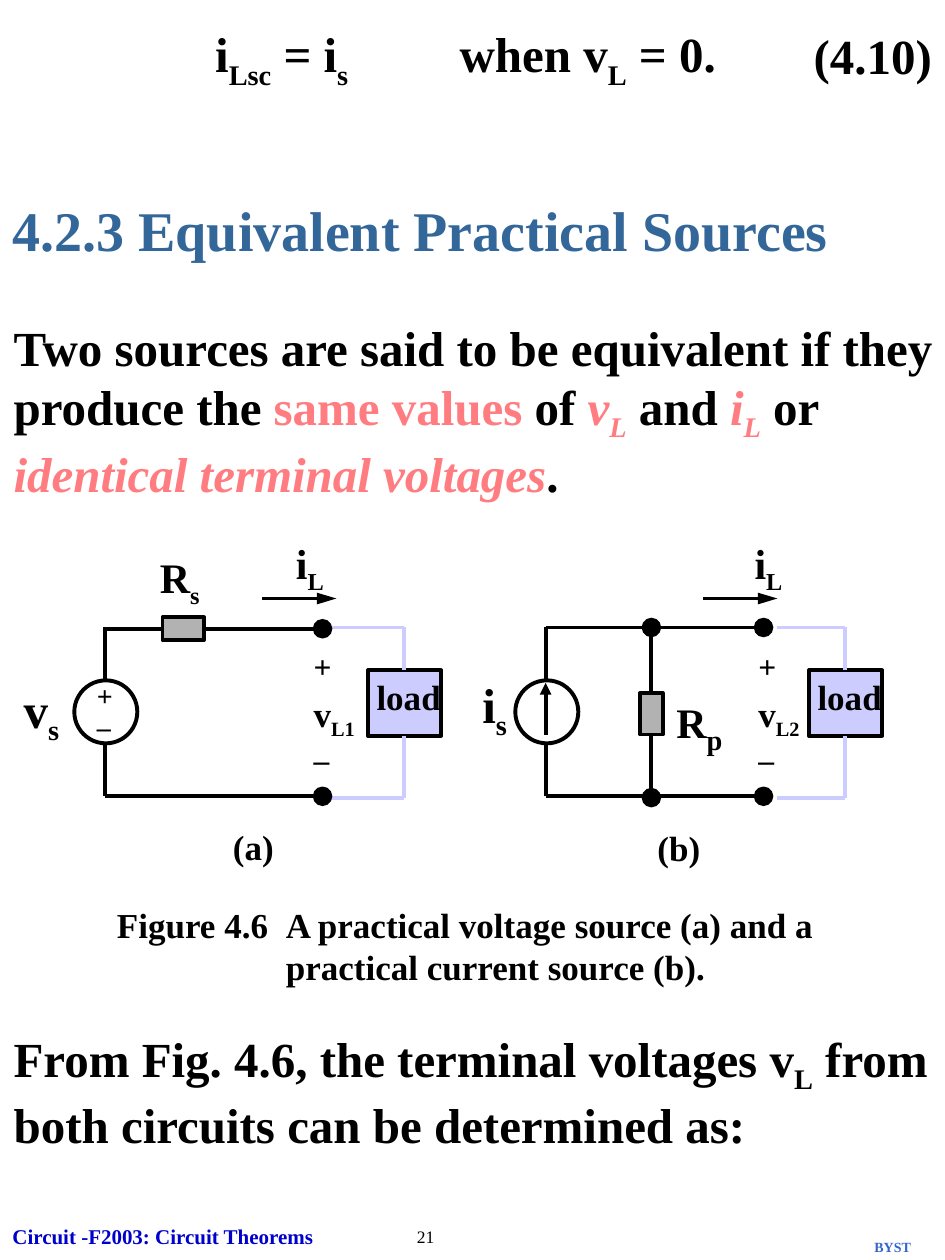
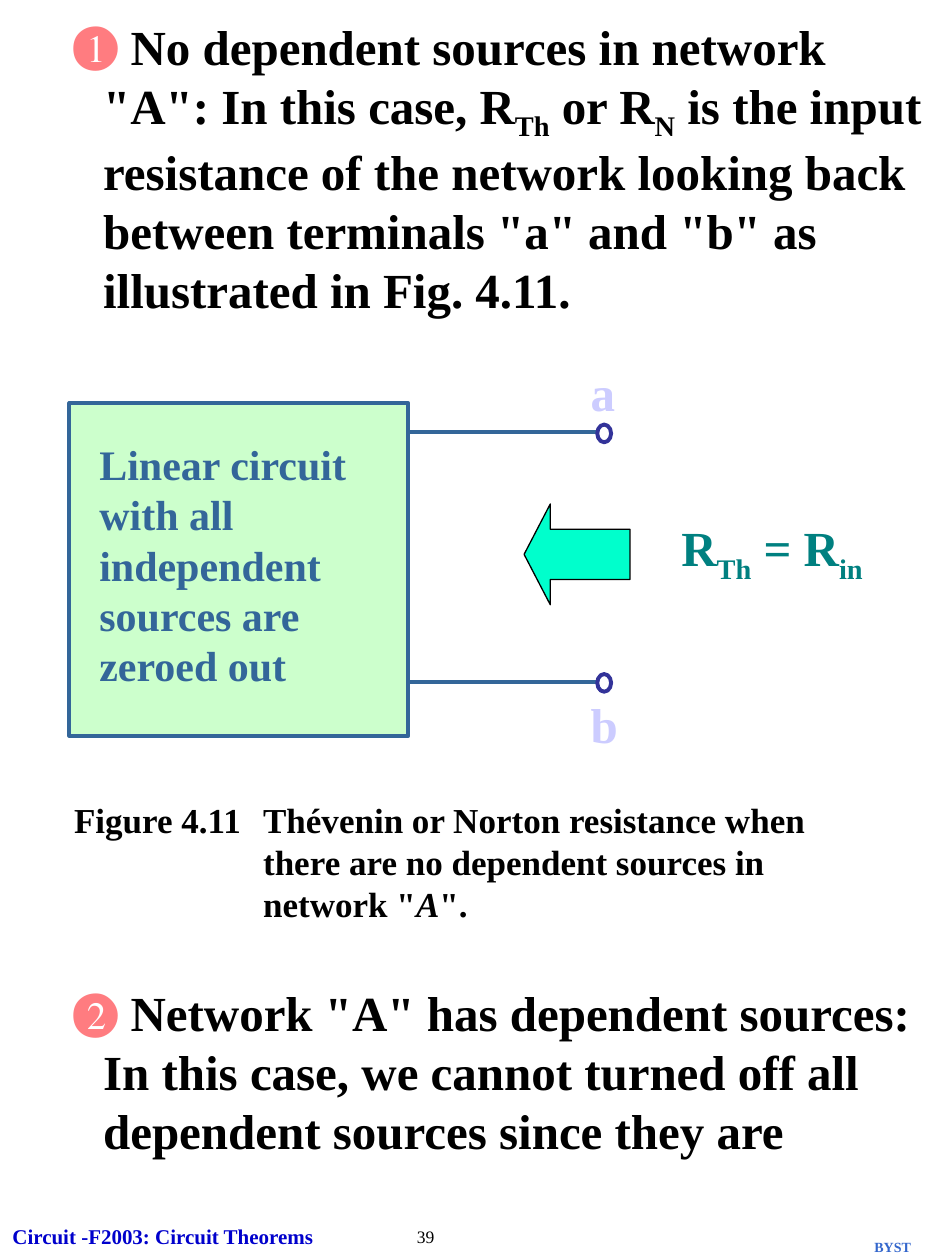
from lxml import etree
from pptx import Presentation
from pptx.dml.color import RGBColor
from pptx.enum.shapes import MSO_CONNECTOR, MSO_SHAPE
from pptx.enum.text import MSO_AUTO_SIZE, PP_ALIGN
from pptx.oxml.ns import qn
from pptx.util import Inches, Pt

RECTANGLE, OVAL, LEFT_ARROW = MSO_SHAPE.RECTANGLE, MSO_SHAPE.OVAL, MSO_SHAPE.LEFT_ARROW
STRAIGHT = MSO_CONNECTOR.STRAIGHT
FIT_SHAPE = MSO_AUTO_SIZE.SHAPE_TO_FIT_TEXT
LEFT = PP_ALIGN.LEFT
TOP_SIDE, LEFT_SIDE, BOTTOM_SIDE, RIGHT_SIDE = range(4)

FONT = "Times New Roman"
BLACK, GREY, BLUE, PALE = "000000", "B2B2B2", "336699", "CCCCFF"
CORAL, MINT, AQUA, TEAL, INDIGO = "FF7C80", "CCFFCC", "00FFCC", "008080", "333399"
FOOTER_BLUE, CREDIT_BLUE = "0000CC", "3366CC"


def color(value):
    return RGBColor.from_string(value)


def sub(text):
    return text, {"sub": True}


class Builder:
    """Holds the deck, the shared style and the current page."""

    def __init__(self):
        self.deck = Presentation()
        self.deck.slide_width, self.deck.slide_height = Inches(7.5), Inches(10)
        self.page = None

    def new_page(self, number):
        self.page = self.deck.slides.add_slide(self.deck.slide_layouts[6])
        self.label(6.84, 9.78, 0.55, 0.22, ["BYST"], 8, CREDIT_BLUE)
        self.text(0, 9.66, 3.42, 0.3, ["Circuit -F2003: Circuit Theorems"], 12, FOOTER_BLUE)
        self.text(3.21, 9.68, 0.78, 0.27, [str(number)], 10, bold=False)

    def frame(self, left, top, width, height, fit=True):
        box = self.page.shapes.add_textbox(
            Inches(left), Inches(top), Inches(width), Inches(height))
        box.text_frame.word_wrap = True
        if fit:
            box.text_frame.auto_size = FIT_SHAPE
        return box.text_frame

    def spans(self, para, parts, size, tint=BLACK, bold=True):
        """Add runs; a part is plain text or (text, changes to the style)."""
        para.alignment = LEFT
        for part in parts:
            text, style = (part, {}) if isinstance(part, str) else part
            span = para.add_run()
            span.text = text
            font = span.font
            font.name, font.bold = FONT, bold
            font.size = Pt(style.get("size", size))
            font.italic = style.get("italic", False)
            font.color.rgb = color(style.get("tint", tint))
            if style.get("sub"):
                span._r.get_or_add_rPr().set("baseline", "-25000")

    def text(self, left, top, width, height, parts, size, tint=BLACK,
             bold=True, fit=True, after=0):
        para = self.frame(left, top, width, height, fit).paragraphs[0]
        para.space_after = Pt(after)
        self.spans(para, parts, size, tint, bold)

    def label(self, left, top, width, height, parts, size=28, tint=BLACK):
        """Add a one-line text in a box of fixed size."""
        self.text(left, top, width, height, parts, size, tint, fit=False)

    def stack(self, left, top, width, height, lines, spacing):
        """Tightly set lines, each given as (parts, size, space before)."""
        frame = self.frame(left, top, width, height)
        for index, (parts, size, before) in enumerate(lines):
            para = frame.add_paragraph() if index else frame.paragraphs[0]
            para.line_spacing = spacing
            if index:
                para.space_before = Pt(before)
            self.spans(para, parts, size)

    def bullet(self, top, height, mark, parts):
        para = self.frame(0.48, top, 7.02, height).paragraphs[0]
        props = para._p.get_or_add_pPr()
        props.set("marL", str(Inches(0.24)))
        props.set("indent", str(-Inches(0.24)))
        tint = etree.SubElement(props, qn("a:buClr"))
        etree.SubElement(tint, qn("a:srgbClr"), val=CORAL)
        etree.SubElement(props, qn("a:buSzPct"), val="105000")
        etree.SubElement(props, qn("a:buFont"), typeface=FONT)
        etree.SubElement(props, qn("a:buChar"), char=mark)
        para.space_after = Pt(8.8)
        self.spans(para, parts, 28)

    def caption(self, top, name, name_at, name_width, text_at, width, height, parts):
        self.text(name_at, top, name_width, 0.44, [name], 20)
        self.text(text_at, top, width, height, parts, 20)

    def shape(self, kind, left, top, width, height, fill=None, line=BLACK, weight=2.25):
        item = self.page.shapes.add_shape(
            kind, Inches(left), Inches(top), Inches(width), Inches(height))
        item.shadow.inherit = False
        if fill:
            item.fill.solid()
            item.fill.fore_color.rgb = color(fill)
        else:
            item.fill.background()
        item.line.color.rgb = color(line)
        item.line.width = Pt(weight)
        return item

    def wire(self, start, end, tint=BLACK, tail=None, length="lg", width="lg",
             from_side=None, to_side=None):
        """Draw a line; from_side and to_side are (shape, side) joints."""
        line = self.page.shapes.add_connector(STRAIGHT, *map(Inches, start + end))
        line.line.color.rgb = color(tint)
        line.line.width = Pt(2.25)
        if tail:
            etree.SubElement(line.line._get_or_add_ln(), qn("a:tailEnd"),
                             type=tail, w=width, len=length)
        etree.SubElement(line._element.spPr, qn("a:effectLst"))
        if from_side:
            line.begin_connect(*from_side)
        if to_side:
            line.end_connect(*to_side)

    def arrow(self, start, end, length="lg"):
        self.wire(start, end, tail="triangle", length=length, width="med")


def draw_circuit(build, left, load_from, voltage, voltage_at, current_at):
    """Source, terminals and load common to both circuits of Figure 4.6."""
    top, bottom = 4.98, 6.32
    terminal, load_x = left + 1.73, left + 2.38

    # Load
    load = build.shape(RECTANGLE, left + 2.09, 5.32, 0.58, 0.52, PALE)
    build.wire((load_from, top), (load_x, top), PALE)
    build.wire((load_x, top), (load_x, 5.32), PALE, to_side=(load, TOP_SIDE))
    build.wire((load_x, 5.84), (load_x, 6.33), PALE, from_side=(load, BOTTOM_SIDE))
    build.wire((load_from, 6.33), (load_x, 6.33), PALE)
    build.text(left + 2.06, 5.31, 0.8, 0.44, ["load"], 20)

    # Source and its leads
    build.shape(OVAL, left - 0.24, 5.4, 0.5, 0.5)
    build.wire((left, 5.4), (left, top))
    build.wire((left, bottom), (left, 5.91))
    build.wire((left, bottom), (terminal, bottom), tail="oval")

    # Load current and voltage
    build.arrow((left + 1.25, 4.75), (left + 1.84, 4.75))
    build.text(current_at, 4.22, 0.58, 0.56, ["i", sub("L")], 24)
    build.stack(voltage_at, 5.19, 0.58, 1.02, [
        (["+"], 18, 0), (["v", sub(voltage)], 20, 12.5), (["–"], 18, 11.2)], 0.6)


def equivalent_sources(build):
    build.new_page(21)

    # Equation and heading
    build.label(1.61, 0.14, 1.5, 0.63, ["i", sub("Lsc"), " = i", sub("s")])
    build.label(3.55, 0.14, 2.4, 0.63, ["when v", sub("L"), " = 0."])
    build.label(6.36, 0.15, 1.14, 0.57, ["(4.10)"])
    build.text(0, 1.5, 7.08, 0.64, ["4.2.3 Equivalent Practical Sources"], 32, BLUE)

    # Definition
    accent = {"tint": CORAL, "italic": True}
    accent_sub = {**accent, "sub": True}
    build.text(0.01, 2.47, 7.49, 1.57, [
        "Two sources are said to be equivalent if they produce the ",
        ("same values", {"tint": CORAL}), " of ",
        ("v", accent), ("L", accent_sub), " and ",
        ("i", accent), ("L", accent_sub), " or ",
        ("identical terminal voltages", accent), "."], 28, after=8.8)

    # Circuit (a): voltage source with series resistor
    draw_circuit(build, 0.83, 2.58, "L1", 2.39, 2.25)
    series = build.shape(RECTANGLE, 1.29, 4.9, 0.33, 0.18, GREY)
    build.wire((0.83, 4.99), (1.29, 4.99), to_side=(series, LEFT_SIDE))
    build.wire((1.62, 4.99), (2.56, 4.99), tail="oval", from_side=(series, RIGHT_SIDE))
    build.stack(0.67, 5.47, 0.5, 0.46, [(["+"], 16, 0), (["–"], 16, 10)], 0.4)
    build.label(0.09, 5.34, 0.6, 0.63, ["v", sub("s")])
    build.label(1.17, 4.33, 0.7, 0.56, ["R", sub("s")], 24)
    build.label(1.75, 6.5, 0.7, 0.44, ["(a)"], 20)

    # Circuit (b): current source with parallel resistor
    draw_circuit(build, 4.33, 6.17, "L2", 5.92, 5.89)
    parallel = build.shape(RECTANGLE, 5.08, 5.5, 0.18, 0.33, GREY)
    build.wire((4.33, 4.98), (5.17, 4.98), tail="oval")
    build.wire((5.17, 4.98), (6.06, 4.98), tail="oval")
    build.wire((5.17, 4.98), (5.17, 5.5), to_side=(parallel, TOP_SIDE))
    build.wire((5.17, 5.83), (5.17, 6.33), tail="oval", from_side=(parallel, BOTTOM_SIDE))
    build.arrow((4.33, 5.83), (4.33, 5.42), "med")
    build.label(3.73, 5.3, 0.55, 0.63, ["i", sub("s")])
    build.label(5.27, 5.42, 0.7, 0.63, ["R", ("p", {"sub": True, "size": 28})], 24)
    build.label(5.12, 6.51, 0.7, 0.44, ["(b)"], 20)

    # Caption and closing text
    build.caption(7.12, "Figure 4.6", 0.83, 1.5, 2.17, 4.5, 0.77, [
        "A practical voltage source (a) and a practical current source (b)."])
    build.text(0.01, 8.11, 7.49, 1.1, [
        "From Fig. 4.6, the terminal voltages v", sub("L"),
        " from both circuits can be determined as:"], 28, after=8.8)


def network_resistance(build):
    build.new_page(39)
    build.bullet(0.08, 2.5, "❶", [
        " No dependent sources in network \"A\": In this case, R", sub("Th"),
        " or R", sub("N"), " is the input resistance of the network looking back "
        "between terminals \"a\" and \"b\" as illustrated in Fig. 4.11."])

    # Network with its two terminals
    for name, wire_y, name_y in (("a", 3.43, 2.83), ("b", 5.41, 5.46)):
        build.wire((3.24, wire_y), (4.74, wire_y), BLUE)
        build.shape(OVAL, 4.74, wire_y - 0.06, 0.11, 0.14, line=INDIGO)
        build.label(4.59, name_y, 0.5, 0.57, [name], tint=PALE)
    build.shape(RECTANGLE, 0.55, 3.2, 2.69, 2.64, MINT, BLUE)
    build.text(0.69, 3.43, 2.54, 2.1, [
        "Linear circuit with all independent sources are zeroed out"], 24, BLUE)

    # Resistance seen from the terminals
    pointer = build.shape(LEFT_ARROW, 4.16, 4, 0.84, 0.8, AQUA, weight=0.75)
    pointer.adjustments[0], pointer.adjustments[1] = 0.5, 0.26
    build.label(5.31, 4.06, 1.8, 0.63, ["R", sub("Th"), " = R", sub("in")], tint=TEAL)

    # Caption and second case
    build.caption(6.29, "Figure 4.11", 0.49, 1.57, 1.99, 4.7, 1.1, [
        "Thévenin or Norton resistance when there are no dependent sources in network \"",
        ("A", {"italic": True}), "\"."])
    build.bullet(7.75, 1.5, "❷", [
        " Network \"A\" has dependent sources: In this case, we cannot turned off "
        "all dependent sources since they are"])


def main():
    build = Builder()
    equivalent_sources(build)
    network_resistance(build)
    build.deck.save("out.pptx")


if __name__ == "__main__":
    main()
